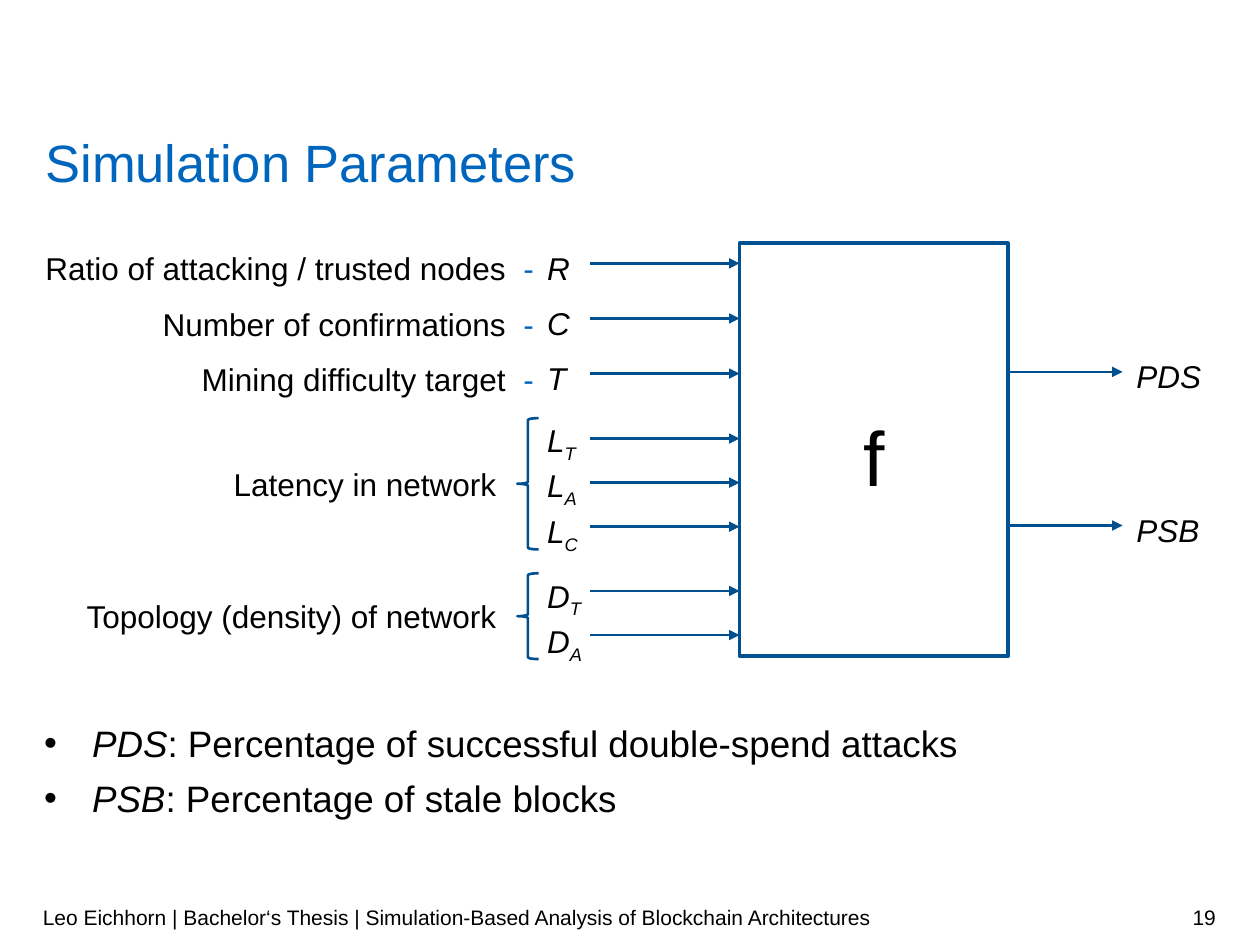
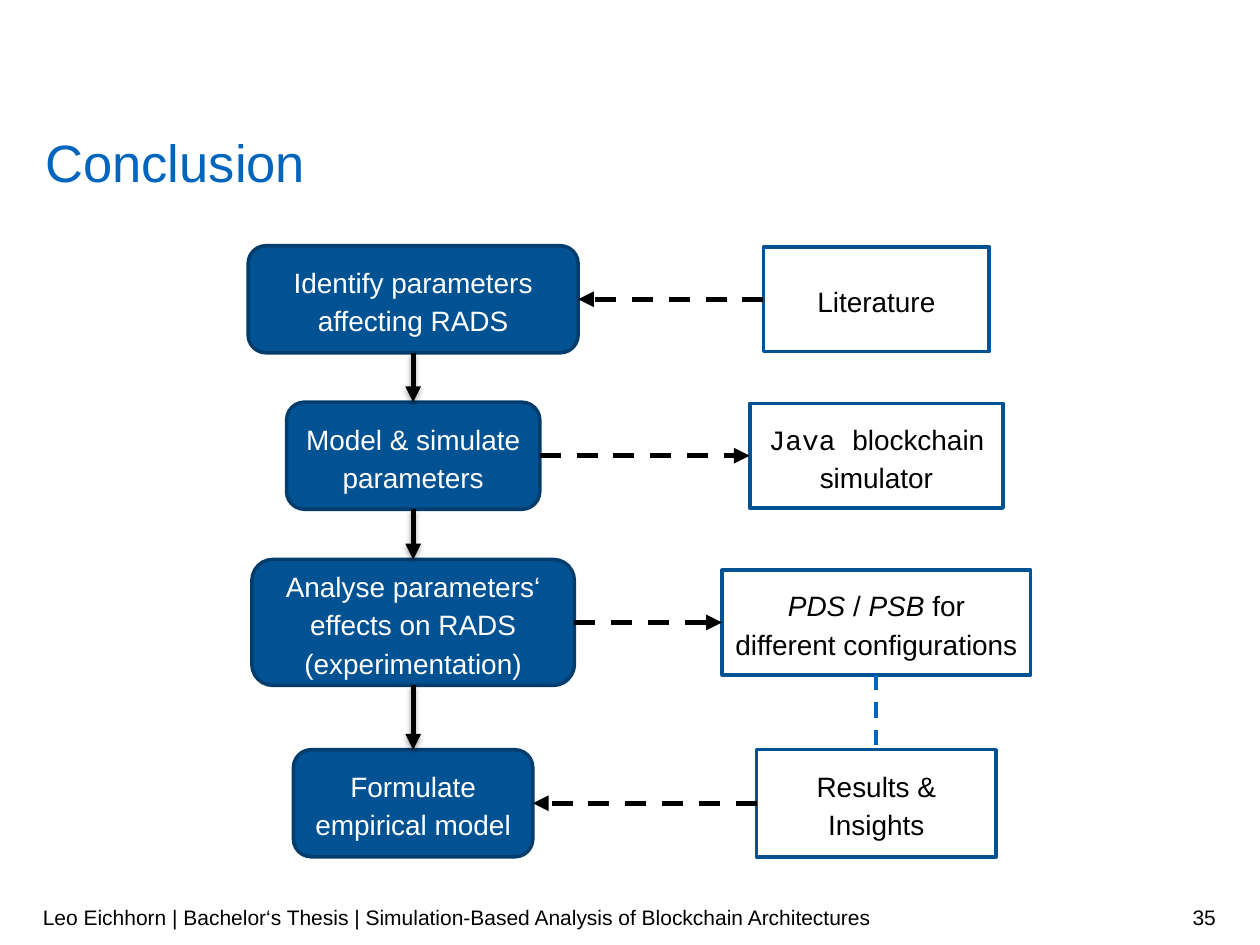
from collections import namedtuple
from dataclasses import dataclass
from itertools import pairwise

from lxml.etree import SubElement
from pptx import Presentation
from pptx.dml.color import RGBColor
from pptx.enum.dml import MSO_LINE
from pptx.enum.shapes import MSO_CONNECTOR, MSO_SHAPE
from pptx.enum.text import MSO_ANCHOR, PP_ALIGN
from pptx.oxml.ns import qn
from pptx.util import Pt


@dataclass(frozen=True)
class Theme:
    font: str = "Arial"
    code_font: str = "Courier New"
    title: str = "0065BD"
    accent: str = "005293"
    wire: str = "005090"
    edge: str = "003D6D"
    ink: str = "000000"
    paper: str = "FFFFFF"
    title_size: int = 30
    symbol_size: int = 18
    function_size: int = 44
    bullet_size: int = 21
    step_size: int = 16
    footer_size: int = 12
    spacing: float = 1.14


THEME = Theme()
FOOTER = "Leo Eichhorn | Bachelor‘s Thesis | Simulation-Based Analysis of Blockchain Architectures"
TITLE_BOX_TOP = 78.5

Span = namedtuple("Span", "text italic color font baseline gap", defaults=(False, None, None, 0, 0))
Group = namedtuple("Group", "label symbols top arrow_top brace_top brace_height")
Step = namedtuple("Step", "middle stage_width stage_height stage evidence_width evidence_height evidence inward")


class Box(namedtuple("Box", "left top width height")):
    @property
    def right(self):
        return self.left + self.width

    @property
    def bottom(self):
        return self.top + self.height

    @property
    def center(self):
        return self.left + self.width / 2

    @property
    def middle(self):
        return self.top + self.height / 2

    @property
    def lengths(self):
        return [Pt(value) for value in self]


def centered(center, middle, width, height):
    return Box(center - width / 2, middle - height / 2, width, height)


def rgb(color):
    return RGBColor.from_string(color)


def fill_para(para, spans, size, color=THEME.ink, align=PP_ALIGN.LEFT, spacing=THEME.spacing):
    para.alignment = align
    para.line_spacing = spacing
    for span in spans:
        run = para.add_run()
        run.text = span.text
        run.font.size = Pt(size)
        run.font.name = span.font or THEME.font
        run.font.italic = span.italic
        run.font.color.rgb = rgb(span.color or color)
        properties = run._r.get_or_add_rPr()
        if span.baseline:
            properties.set("baseline", str(span.baseline * 1000))
        if span.gap:
            properties.set("spc", str(span.gap * 100))


def add_frame(page, box, inset=0, anchor=MSO_ANCHOR.TOP):
    frame = page.shapes.add_textbox(*box.lengths).text_frame
    frame.word_wrap = True
    frame.vertical_anchor = anchor
    frame.margin_left = frame.margin_right = 0
    frame.margin_top = frame.margin_bottom = Pt(inset)
    return frame


def add_text(page, box, spans, size, **style):
    fill_para(add_frame(page, box).paragraphs[0], spans, size, **style)


def add_node(page, box, kind, spans, size, fill, edge, color):
    shape = page.shapes.add_shape(kind, *box.lengths)
    shape.shadow.inherit = False
    shape.fill.solid()
    shape.fill.fore_color.rgb = rgb(fill)
    shape.line.color.rgb = rgb(edge)
    shape.line.width = Pt(2)
    shape.text_frame.word_wrap = True
    shape.text_frame.vertical_anchor = MSO_ANCHOR.MIDDLE
    fill_para(shape.text_frame.paragraphs[0], spans, size, color, PP_ALIGN.CENTER)


def add_brace(page, box):
    brace = page.shapes.add_shape(MSO_SHAPE.LEFT_BRACE, *box.lengths)
    brace.shadow.inherit = False
    brace.fill.background()
    brace.line.color.rgb = rgb(THEME.wire)
    brace.line.width = Pt(1.5)


def add_line(page, start, end, color, width, dashed=False, head=True, shadow=False):
    points = [Pt(value) for value in (*start, *end)]
    line = page.shapes.add_connector(MSO_CONNECTOR.STRAIGHT, *points)
    line.line.color.rgb = rgb(color)
    line.line.width = Pt(width)
    if dashed:
        line.line.dash_style = MSO_LINE.DASH
    properties = line._element.spPr
    if head:
        SubElement(properties.find(qn("a:ln")), qn("a:tailEnd"), type="triangle")
    effects = SubElement(properties, qn("a:effectLst"))
    if shadow:
        outer = SubElement(effects, qn("a:outerShdw"), blurRad=str(Pt(3.1)), dist=str(Pt(1.8)),
                           dir="5400000", rotWithShape="0")
        tint = SubElement(outer, qn("a:srgbClr"), val=THEME.ink)
        SubElement(tint, qn("a:alpha"), val="35000")


def add_page(deck, title, number):
    page = deck.slides.add_slide(deck.slide_layouts[6])
    add_text(page, Box(26, TITLE_BOX_TOP, 670, 32), [Span(title)], THEME.title_size,
             color=THEME.title, spacing=Pt(32))
    footers = [
        (Box(24.5, 509.8, 509, 28.8), FOOTER, PP_ALIGN.LEFT),
        (Box(533.5, 509.8, 161.3, 28.8), number, PP_ALIGN.RIGHT),
    ]
    for box, text, align in footers:
        frame = add_frame(page, box, 3.6, MSO_ANCHOR.MIDDLE)
        fill_para(frame.paragraphs[0], [Span(text)], THEME.footer_size, align=align, spacing=1.0)
    return page


def add_symbol(page, left, top, symbol):
    spans = [Span(symbol[0], True)]
    if len(symbol) > 1:
        spans.append(Span(symbol[1:], True, baseline=-25))
    add_text(page, Box(left, top, 49, 23), spans, THEME.symbol_size)


def add_input(page, box, symbol, top, arrow):
    add_symbol(page, box.left - 110, box.top + top, symbol)
    add_line(page, (box.left - 85.2, box.top + arrow), (box.left, box.top + arrow), THEME.wire, 1.5)


def add_label(page, right, top, spans):
    add_text(page, Box(right - 280, top, 280, 23), spans, THEME.symbol_size, align=PP_ALIGN.RIGHT)


def add_single_inputs(page, box):
    inputs = [
        ("Ratio of attacking / trusted nodes", "R"),
        ("Number of confirmations", "C"),
        ("Mining difficulty target", "T"),
    ]
    for index, (label, symbol) in enumerate(inputs):
        top = 31.5 * index
        add_input(page, box, symbol, top, top + 11.5)
        spans = [Span(label), Span(" ", gap=5), Span("-", color=THEME.title)]
        add_label(page, box.left - 117.6, box.top + top + 0.5, spans)


def add_grouped_inputs(page, box):
    groups = [
        Group("Latency in network", ["LT", "LA", "LC"], 98, 111.6, 100, 75),
        Group("Topology (density) of network", ["DT", "DA"], 187, 198.7, 188.6, 49),
    ]
    for group in groups:
        for index, symbol in enumerate(group.symbols):
            add_input(page, box, symbol, group.top + 26 * index, group.arrow_top + 25.2 * index)
        brace = Box(box.left - 127, box.top + group.brace_top, 12.2, group.brace_height)
        add_brace(page, brace)
        add_label(page, box.left - 139, brace.middle - 13.7, [Span(group.label)])


def add_outputs(page, box):
    for name, top in [("PDS", 62), ("PSB", 149.8)]:
        arrow = box.top + top + 11.5
        add_line(page, (box.right, arrow), (box.right + 65.5, arrow), THEME.wire, 1.5)
        add_text(page, Box(box.right + 73.4, box.top + top, 65, 23), [Span(name, True)], THEME.symbol_size)


def add_bullets(page, box, entries):
    frame = add_frame(page, box)
    for index, (term, meaning) in enumerate(entries):
        para = frame.add_paragraph() if index else frame.paragraphs[0]
        fill_para(para, [Span(term, True), Span(meaning)], THEME.bullet_size, spacing=1.2)
        para.space_after = Pt(1.3)
        properties = para._p.get_or_add_pPr()
        properties.set("marL", str(Pt(27.4)))
        properties.set("indent", str(-Pt(27.4)))
        SubElement(properties, qn("a:buFont"), typeface=THEME.font)
        SubElement(properties, qn("a:buChar"), char="•")


def build_parameters(deck):
    page = add_page(deck, "Simulation Parameters", "19")
    function = Box(422.6, 139, 153.4, 236)
    add_node(page, function, MSO_SHAPE.RECTANGLE, [Span("f")], THEME.function_size,
             THEME.paper, THEME.accent, THEME.ink)
    add_single_inputs(page, function)
    add_grouped_inputs(page, function)
    add_outputs(page, function)
    add_bullets(page, Box(25.2, 407, 670, 70), [
        ("PDS", ": Percentage of successful double-spend attacks"),
        ("PSB", ": Percentage of stale blocks"),
    ])


def add_workflow(page, area, steps):
    stages, proofs = [], []
    for step in steps:
        middle = area.top + step.middle
        stage = centered(area.left + 94.3, middle, step.stage_width, step.stage_height)
        proof = centered(area.right - 88.2, middle, step.evidence_width, step.evidence_height)
        add_node(page, stage, MSO_SHAPE.ROUNDED_RECTANGLE, [Span(step.stage)], THEME.step_size,
                 THEME.accent, THEME.edge, THEME.paper)
        add_node(page, proof, MSO_SHAPE.RECTANGLE, step.evidence, THEME.step_size,
                 THEME.paper, THEME.accent, THEME.ink)
        ends = [(stage.right, middle), (proof.left, middle)]
        start, end = reversed(ends) if step.inward else ends
        add_line(page, start, end, THEME.ink, 3, dashed=True)
        stages.append(stage)
        proofs.append(proof)
    for upper, lower in pairwise(stages):
        add_line(page, (upper.center, upper.bottom), (lower.center, lower.top), THEME.ink, 3, shadow=True)
    findings, results = proofs[-2:]
    add_line(page, (findings.center, findings.bottom), (results.center, results.top),
             THEME.title, 2.25, dashed=True, head=False)


def build_conclusion(deck):
    page = add_page(deck, "Conclusion", "35")
    configurations = [Span("PDS", True), Span(" / "), Span("PSB ", True), Span("for different configurations")]
    simulator = [Span("Java ", font=THEME.code_font), Span("blockchain simulator")]
    add_workflow(page, Box(141.8, 140.4, 447.2, 349.2), [
        Step(30.6, 188.6, 61.2, "Identify parameters affecting RADS", 129, 59.8, [Span("Literature")], True),
        Step(120, 144.7, 61.2, "Model & simulate parameters", 144.7, 59.8, simulator, False),
        Step(215.3, 184.3, 72, "Analyse parameters‘ effects on RADS (experimentation)",
             176.4, 59.8, configurations, False),
        Step(318.6, 136.8, 61.2, "Formulate empirical model", 136.8, 61.2, [Span("Results & Insights")], True),
    ])


def main():
    deck = Presentation()
    deck.slide_width, deck.slide_height = Pt(720), Pt(540)
    build_parameters(deck)
    build_conclusion(deck)
    deck.save("out.pptx")


if __name__ == "__main__":
    main()
